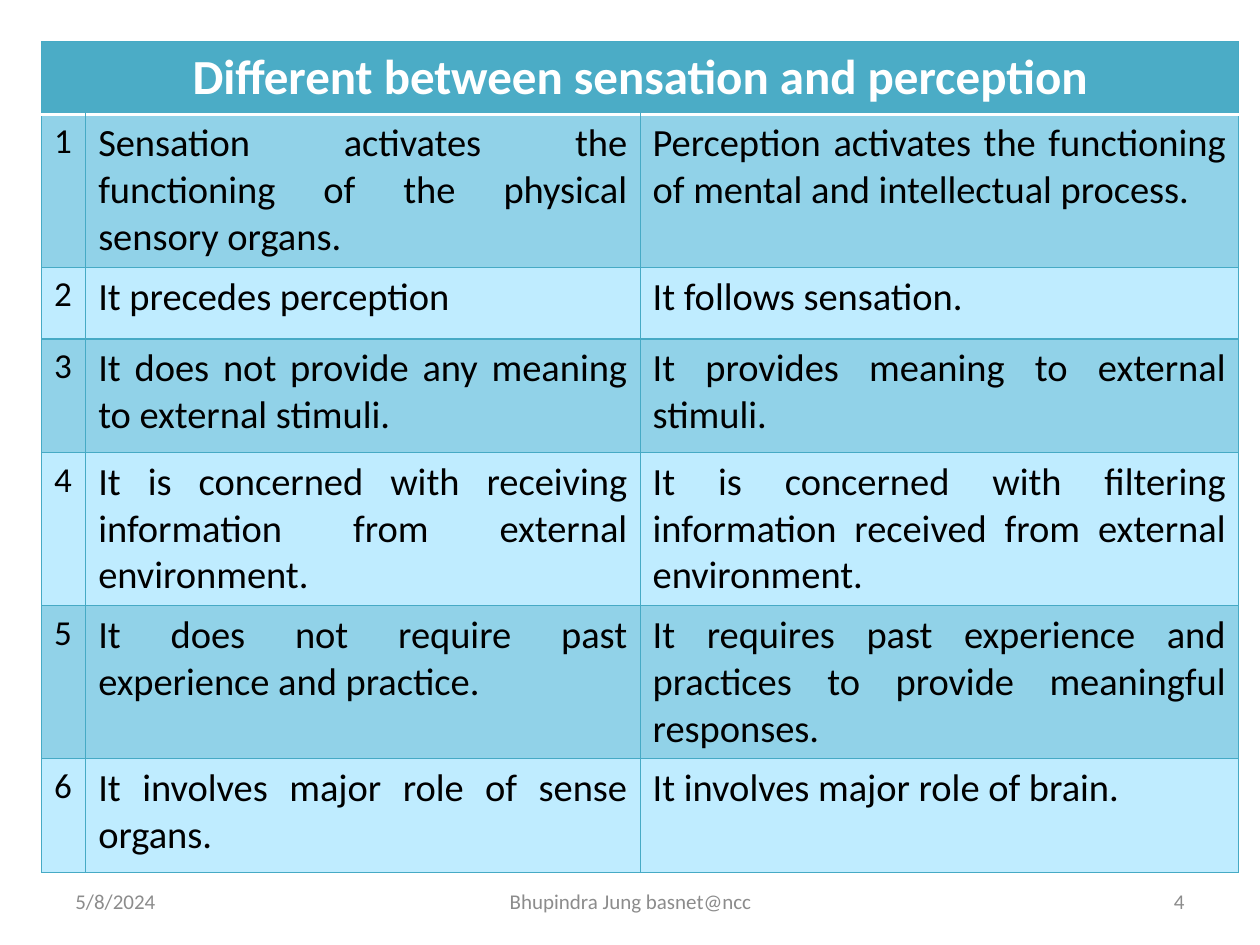
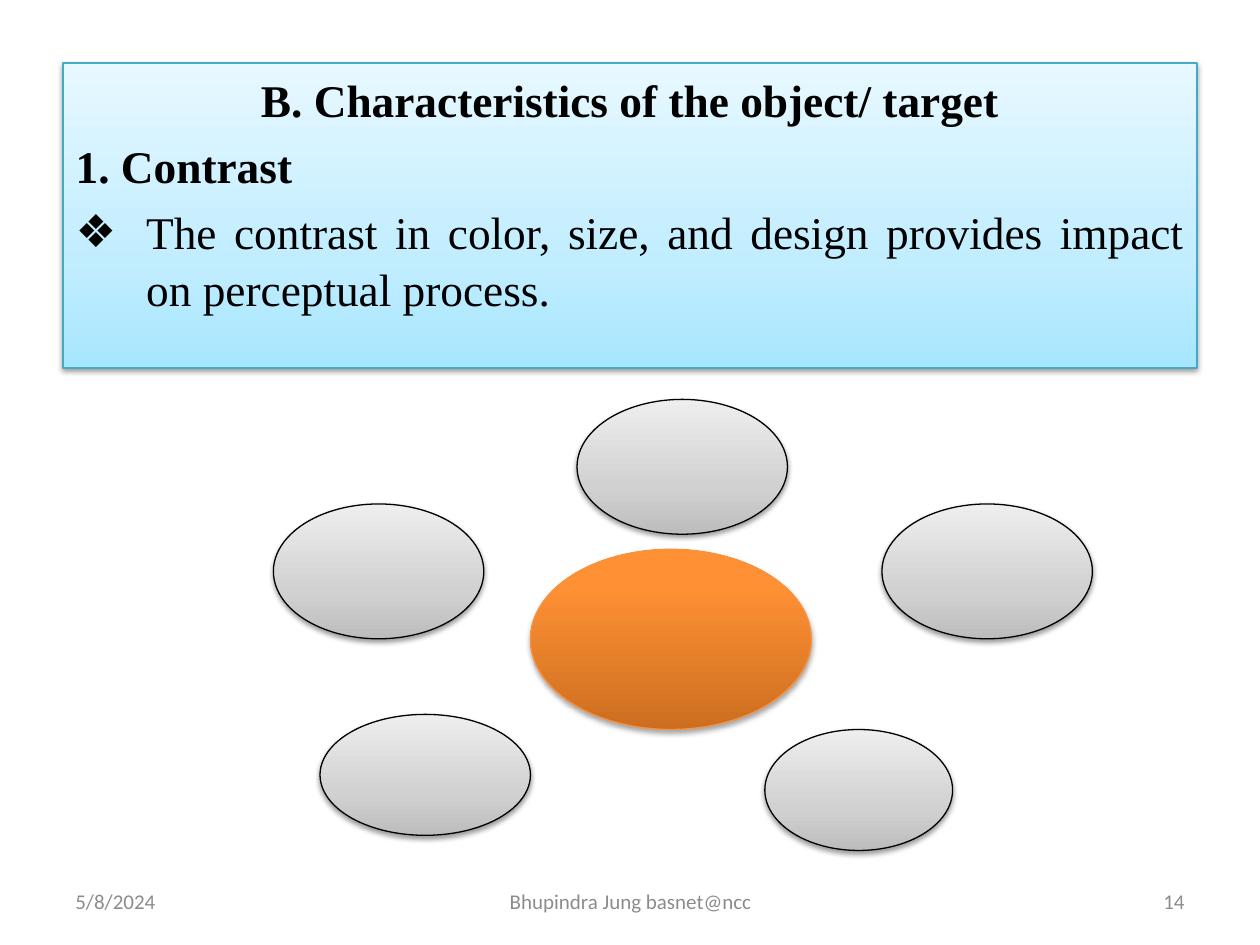
import pptx
import pptx.util
import pptx.dml.color
import pptx.enum.shapes
import pptx.enum.text
import pptx.oxml
import pptx.oxml.ns

Inches, Pt = pptx.util.Inches, pptx.util.Pt
ALIGN = pptx.enum.text.PP_ALIGN
ANCHOR = pptx.enum.text.MSO_ANCHOR

# Content
HEAD = "Different between sensation and perception"
PAIRS = [
    ("Sensation activates the functioning of the physical sensory organs.",
     "Perception activates the functioning of mental and intellectual process."),
    ("It precedes perception", "It follows sensation."),
    ("It does not provide any meaning to external stimuli.",
     "It provides meaning to external stimuli."),
    ("It is concerned with receiving information from external environment.",
     "It is concerned with filtering information received from external environment."),
    ("It does not require past experience and practice.",
     "It requires past experience and practices to provide meaningful responses."),
    ("It involves major role of sense organs.", "It involves major role of brain."),
]
POINTS = [  # text, alignment, bold, indent, bullet
    ("B. Characteristics of the object/ target", ALIGN.CENTER, True, 0.38, None),
    ("1. Contrast", ALIGN.JUSTIFY, True, 0.56, None),
    ("The contrast in color, size, and design provides impact on perceptual process.",
     ALIGN.JUSTIFY, False, 0.56, "❖"),
]
DATE, AUTHOR = "5/8/2024", "Bhupindra Jung basnet@ncc"

# Shared look
TEAL, EDGE, PALE, MID = "4BACC6", "46AAC5", "BFECFF", "91D2E8"
WHITE, BLACK, GREY = "FFFFFF", "000000", "8C8C8C"
SANS, SERIF = "Calibri", "Times New Roman"
FOOT_TOP, FOOT_TALL = 6.95, 0.4

# Table sizes
TABLE_AT = (0.33, 0.33)
COLS = [0.35, 4.4, 4.75]
ROWS = [0.56, 1.19, 0.57, 0.9, 1.19, 1.19, 0.9]

# Panel and ellipses: stops run from bottom to top
SKY = dict(stops=[(0, "A7E6FF"), (35, "C1EDFF"), (100, "E7F8FF")], edge=EDGE)
ASH = dict(stops=[(0, "BDBDBD"), (35, "D1D1D1"), (100, "EEEEEE")], edge=BLACK)
FLAME = dict(stops=[(0, "CC6E20"), (80, "FF9034"), (100, "FF9136")],
             edge="F69240", alpha=35, drop=1.8)
PANEL = (0.5, 0.5, 9, 2.42)
OVALS = [
    ((4.58, 3.17, 1.67, 1.07), ASH),
    ((2.17, 4, 1.67, 1.07), ASH),
    ((7, 4, 1.67, 1.07), ASH),
    ((2.54, 5.67, 1.67, 0.96), ASH),
    ((6.07, 5.79, 1.49, 0.96), ASH),
    ((4.21, 4.36, 2.23, 1.43), FLAME),
]


def paint(code):
    return pptx.dml.color.RGBColor.from_string(code)


def node(tag, inner="", **attrs):
    """Build one DrawingML element."""
    pairs = " ".join(f'{key}="{val}"' for key, val in attrs.items())
    space = pptx.oxml.ns.nsdecls("a")
    return pptx.oxml.parse_xml(f"<a:{tag} {space} {pairs}>{inner}</a:{tag}>")


def tint(code, alpha=100):
    return f'<a:srgbClr val="{code}"><a:alpha val="{alpha * 1000}"/></a:srgbClr>'


def write(para, text, align, color, **font):
    para.text = text
    para.alignment = align
    for key, val in font.items():
        setattr(para.font, key, val)
    para.font.color.rgb = paint(color)


def frame(cell, **sides):
    """Draw the four cell borders; sides maps a letter to (colour, points)."""
    props = cell._tc.get_or_add_tcPr()
    for side in "LRTB":
        color, width = sides.get(side, (EDGE, 0.75))
        props.append(node("ln" + side, f"<a:solidFill>{tint(color)}</a:solidFill>",
                          w=Pt(width)))


def fill_cell(cell, text, fill, align, color, size, bold=False, **sides):
    frame(cell, **sides)
    cell.fill.solid()
    cell.fill.fore_color.rgb = paint(fill)
    write(cell.text_frame.paragraphs[0], text, align, color,
          name=SANS, size=Pt(size), bold=bold)


def shade(shape, stops, edge, alpha=38, drop=1.6):
    """Give a shape its gradient, outline and soft shadow."""
    shape.fill.gradient()
    shape.fill.gradient_angle = 90
    props = shape.element.spPr
    ramp = props.find(".//" + pptx.oxml.ns.qn("a:gsLst"))
    for stop in list(ramp):
        ramp.remove(stop)
    for place, color in stops:
        ramp.append(node("gs", tint(color), pos=place * 1000))
    shape.line.color.rgb = paint(edge)
    shape.line.width = Pt(0.75)
    shape.shadow.inherit = False
    props.find(pptx.oxml.ns.qn("a:effectLst")).append(
        node("outerShdw", tint(BLACK, alpha), blurRad=Pt(3.1), dist=Pt(drop),
             dir=5400000, rotWithShape=0))


def add_foot(slide, number):
    parts = [(0.5, 2.33, DATE, ALIGN.LEFT),
             (3.42, 3.17, AUTHOR, ALIGN.CENTER),
             (7.17, 2.33, str(number), ALIGN.RIGHT)]
    for left, width, text, align in parts:
        box = slide.shapes.add_textbox(*map(Inches, (left, FOOT_TOP, width, FOOT_TALL)))
        box.text_frame.word_wrap = True
        box.text_frame.vertical_anchor = ANCHOR.MIDDLE
        write(box.text_frame.paragraphs[0], text, align, GREY, name=SANS, size=Pt(12))


def add_table(slide):
    size = (sum(COLS), sum(ROWS))
    table = slide.shapes.add_table(len(ROWS), len(COLS),
                                   *map(Inches, TABLE_AT + size)).table
    for col, width in zip(table.columns, COLS):
        col.width = Inches(width)
    for row, height in zip(table.rows, ROWS):
        row.height = Inches(height)

    rule = (WHITE, 2)
    table.cell(0, 0).merge(table.cell(0, 2))
    fill_cell(table.cell(0, 0), HEAD, TEAL, ALIGN.CENTER, WHITE, 28, True, B=rule)
    for col in (1, 2):
        frame(table.cell(0, col), B=rule)
    for row, pair in enumerate(PAIRS, 1):
        fill = MID if row % 2 else PALE
        sides = {"T": rule} if row == 1 else {}
        fill_cell(table.cell(row, 0), str(row), fill, ALIGN.LEFT, BLACK, 20, **sides)
        for col, text in enumerate(pair, 1):
            fill_cell(table.cell(row, col), text, fill, ALIGN.JUSTIFY, BLACK, 22, **sides)


def add_panel(slide):
    panel = slide.placeholders[1]
    for key, val in zip(("left", "top", "width", "height"), PANEL):
        setattr(panel, key, Inches(val))
    shade(panel, **SKY)
    text_frame = panel.text_frame
    text_frame.auto_size = pptx.enum.text.MSO_AUTO_SIZE.NONE
    for num, (text, align, bold, indent, mark) in enumerate(POINTS):
        para = text_frame.add_paragraph() if num else text_frame.paragraphs[0]
        para.line_spacing = 1.05
        para.space_before = Pt(5.2 if num else 0)
        props = para._p.get_or_add_pPr()
        props.set("marL", str(Inches(indent)))
        props.set("indent", str(-Inches(indent)))
        props.append(node("buChar", char=mark) if mark else node("buNone"))
        write(para, text, align, BLACK, name=SERIF, size=Pt(25.9), bold=bold)


def main():
    deck = pptx.Presentation()
    deck.slide_width, deck.slide_height = Inches(10), Inches(7.5)

    slide = deck.slides.add_slide(deck.slide_layouts[6])
    add_table(slide)
    add_foot(slide, 4)

    slide = deck.slides.add_slide(deck.slide_layouts[1])
    title = slide.shapes.title.element
    title.getparent().remove(title)
    add_panel(slide)
    for place, look in OVALS:
        oval = slide.shapes.add_shape(pptx.enum.shapes.MSO_SHAPE.OVAL,
                                      *map(Inches, place))
        shade(oval, **look)
    add_foot(slide, 14)

    deck.save("out.pptx")


if __name__ == "__main__":
    main()
